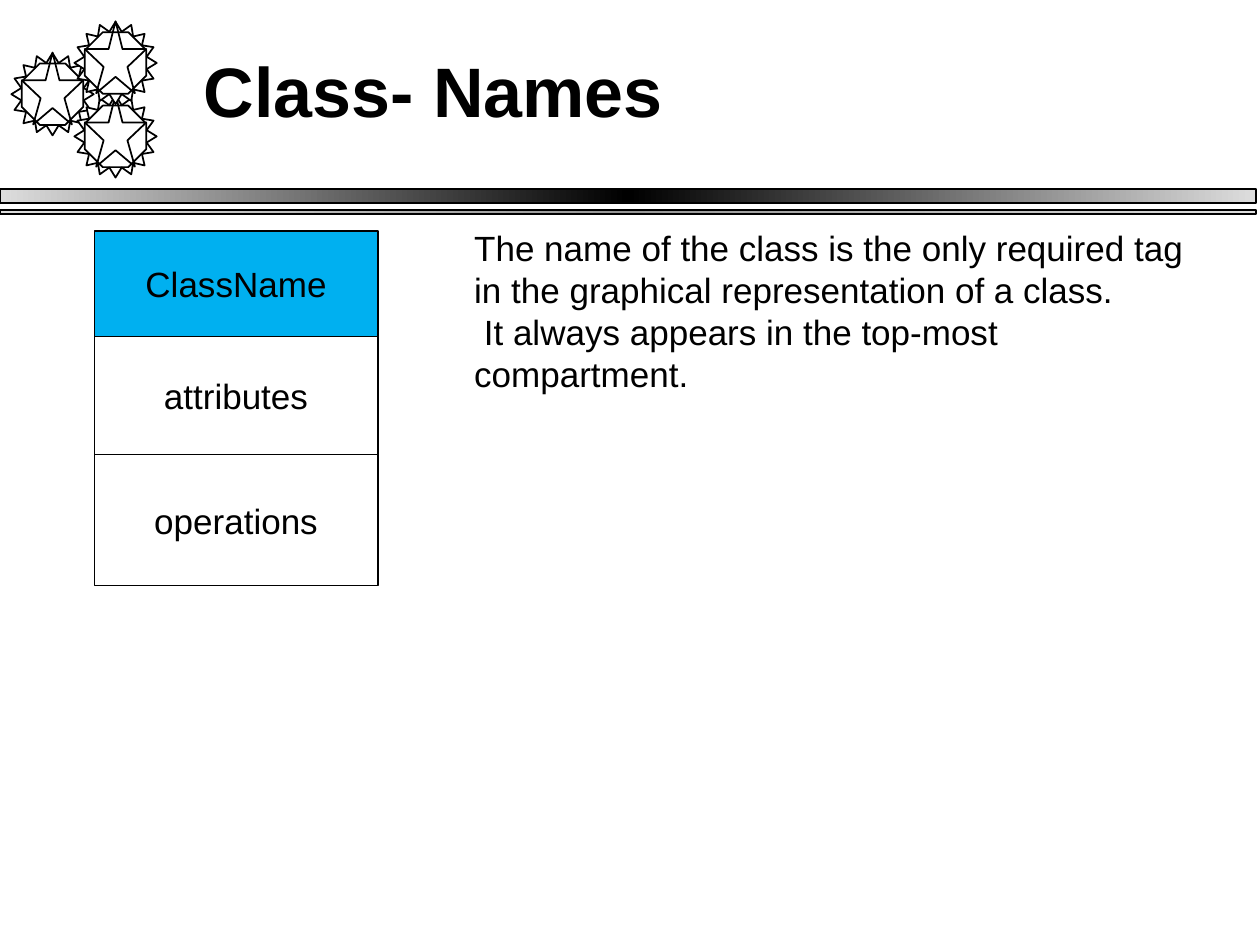
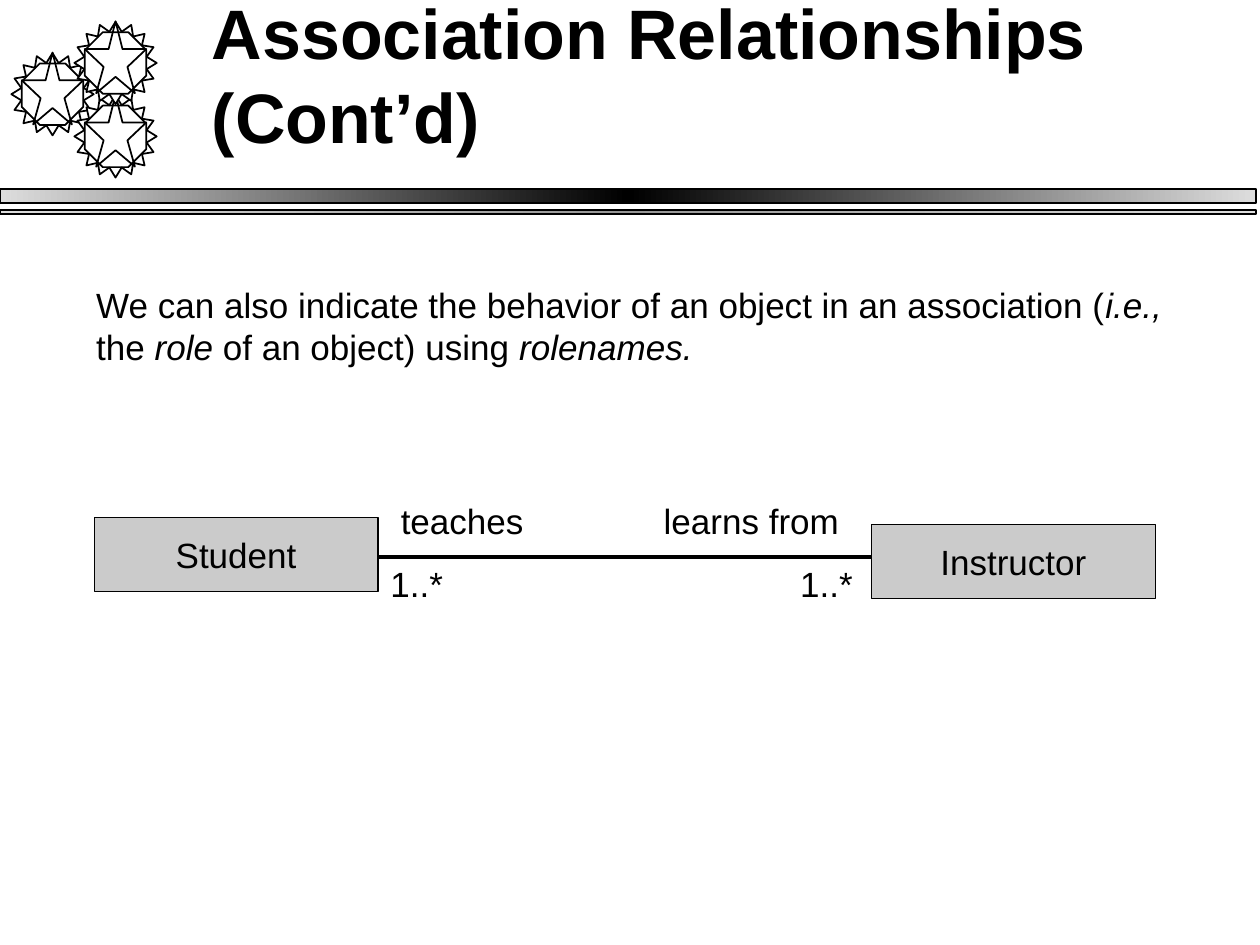
from math import cos, pi, sin

from lxml import etree
from pptx import Presentation
from pptx.dml.color import RGBColor
from pptx.enum.shapes import MSO_CONNECTOR, MSO_SHAPE
from pptx.enum.text import MSO_ANCHOR, MSO_AUTO_SIZE, PP_ALIGN
from pptx.oxml.ns import qn
from pptx.util import Cm, Pt

RECTANGLE, OCTAGON = MSO_SHAPE.RECTANGLE, MSO_SHAPE.OCTAGON
STRAIGHT = MSO_CONNECTOR.STRAIGHT
MIDDLE, TOP = MSO_ANCHOR.MIDDLE, MSO_ANCHOR.TOP
CENTER, LEFT = PP_ALIGN.CENTER, PP_ALIGN.LEFT
GROW, FIXED = MSO_AUTO_SIZE.SHAPE_TO_FIT_TEXT, MSO_AUTO_SIZE.NONE

COLORS = {
    "ink": "000000",
    "paper": "FFFFFF",
    "highlight": "00B0F0",
    "class": "CBCBCB",
    "band_end": "DDDDDD",
    "thin_band": "969696",
    "title_shadow": "DDDDDD",
}
BODY_FONT = {"name": "Arial", "size": Pt(20), "bold": False}
TITLE_FONT = {"name": "Arial", "size": Pt(40), "bold": True}
CLASS_FRAME = {"word_wrap": False, "vertical_anchor": MIDDLE}
NOTE_FRAME = {"word_wrap": True, "vertical_anchor": TOP, "auto_size": GROW}
TITLE_FRAME = {"word_wrap": True, "vertical_anchor": MIDDLE, "auto_size": FIXED}

CLASS_LEFT, CLASS_WIDTH = 1.9, 5.72
BAND_WIDTH = 25.32

# Gear geometry in cm, measured from the gear's centre
GEAR_CENTERS = [(1.06, 1.9), (2.33, 2.75), (2.33, 1.27)]
TEETH, TIP_RADIUS, ROOT_RADIUS = 16, 0.83, 0.64
OCTAGON_SIZE = 1.24
STAR_RIGHT = [(0, -0.84), (0.14, -0.28), (0.62, -0.28),
              (0.24, 0.08), (0.39, 0.61), (0, 0.28)]


def rgb(key):
    return RGBColor.from_string(COLORS[key])


def apply(target, values):
    for attribute, value in values.items():
        setattr(target, attribute, value)


def outline(shape, fill, line_width):
    """Give a shape a plain fill (or none) and a black outline."""
    shape.shadow.inherit = False
    if fill:
        shape.fill.solid()
        shape.fill.fore_color.rgb = rgb(fill)
    else:
        shape.fill.background()
    shape.line.color.rgb = rgb("ink")
    shape.line.width = Pt(line_width)


def write(shape, paragraphs, font, frame_values, align=LEFT, before=0):
    """Fill a shape with paragraphs, each a list of (text, italic) runs."""
    frame = shape.text_frame
    apply(frame, frame_values)
    for index, runs in enumerate(paragraphs):
        paragraph = frame.add_paragraph() if index else frame.paragraphs[0]
        apply(paragraph, {"alignment": align, "space_before": Pt(before)})
        for text, italic in runs:
            run = paragraph.add_run()
            run.text = text
            apply(run.font, {**font, "italic": italic})
            run.font.color.rgb = rgb("ink")


def add_band(slide, top, height, middle):
    """Full-width bar, light at both ends and darker in the middle."""
    band = slide.shapes.add_shape(RECTANGLE, 0, Cm(top), Cm(BAND_WIDTH), Cm(height))
    outline(band, None, 1)
    band.fill.gradient()
    band.fill.gradient_angle = 0
    stops = band.fill.gradient_stops
    stop_list = band._element.spPr.find(qn("a:gradFill")).find(qn("a:gsLst"))
    for stop in list(stop_list)[:len(stops)]:
        stop_list.remove(stop)
    for position, color in ((0, "band_end"), (50, middle), (100, "band_end")):
        stop = etree.SubElement(stop_list, qn("a:gs"), pos=str(position * 1000))
        etree.SubElement(stop, qn("a:srgbClr"), val=COLORS[color])


def add_outline(group, points, center):
    cx, cy = center
    corners = [(Cm(cx + x), Cm(cy + y)) for x, y in points]
    builder = group.shapes.build_freeform(*corners[0])
    builder.add_line_segments(corners[1:], close=True)
    outline(builder.convert_to_shape(), "paper", 1)


def add_gears(slide):
    """Three gears, each a toothed wheel with a star and an octagon."""
    wheel = []
    for step in range(2 * TEETH):
        radius = ROOT_RADIUS if step % 2 else TIP_RADIUS
        angle = pi * step / TEETH
        wheel.append((radius * cos(angle), radius * sin(angle)))
    star = STAR_RIGHT + [(-x, y) for x, y in STAR_RIGHT[-2:0:-1]]
    gears = slide.shapes.add_group_shape()
    for center in GEAR_CENTERS:
        add_outline(gears, wheel, center)
        add_outline(gears, star, center)
        left, top = (Cm(c - OCTAGON_SIZE / 2) for c in center)
        hub = gears.shapes.add_shape(
            OCTAGON, left, top, Cm(OCTAGON_SIZE), Cm(OCTAGON_SIZE))
        outline(hub, None, 1)


def add_title(slide, text, left, top, width, indent=0):
    title = slide.shapes.add_textbox(Cm(left), Cm(top), Cm(width), Cm(1.47))
    write(title, [[(text, False)]], TITLE_FONT, TITLE_FRAME)
    paragraph = title.text_frame.paragraphs[0]
    paragraph._p.get_or_add_pPr().set("indent", str(Cm(indent)))
    # Soft grey shadow behind the letters
    effects = etree.Element(qn("a:effectLst"))
    shadow = etree.SubElement(effects, qn("a:outerShdw"), dist="17961", dir="2700000")
    etree.SubElement(shadow, qn("a:srgbClr"), val=COLORS["title_shadow"])
    properties = paragraph.runs[0].font._element
    properties.find(qn("a:solidFill")).addnext(effects)


def add_note(slide, paragraphs, left, top, width, height, before=0):
    note = slide.shapes.add_textbox(Cm(left), Cm(top), Cm(width), Cm(height))
    write(note, paragraphs, BODY_FONT, NOTE_FRAME, before=before)


def add_class_box(parent, text, left, top, height, fill):
    box = parent.shapes.add_shape(
        RECTANGLE, Cm(left), Cm(top), Cm(CLASS_WIDTH), Cm(height))
    outline(box, fill, 0.75)
    write(box, [[(text, False)]], BODY_FONT, CLASS_FRAME, CENTER)


def add_association(slide, start, end, y):
    line = slide.shapes.add_connector(STRAIGHT, Cm(start), Cm(y), Cm(end), Cm(y))
    line.line.color.rgb = rgb("ink")
    line.line.width = Pt(2.25)
    etree.SubElement(line._element.spPr, qn("a:effectLst"))


def new_slide(deck):
    """Blank slide with the shared bands and gears."""
    slide = deck.slides.add_slide(deck.slide_layouts[6])
    slide.background.fill.solid()
    slide.background.fill.fore_color.rgb = rgb("paper")
    add_band(slide, 3.81, 0.28, "ink")
    add_band(slide, 4.24, 0.08, "thin_band")
    add_gears(slide)
    return slide


def build_class_names(deck):
    slide = new_slide(deck)
    add_title(slide, "Class- Names", 1.9, 1.07, 21.8, indent=1.96)

    # Class diagram, compartments stacked from the top
    diagram = slide.shapes.add_group_shape()
    top = 4.66
    for text, height, fill in (("ClassName", 2.12, "highlight"),
                               ("attributes", 2.38, "paper"),
                               ("operations", 2.65, "paper")):
        add_class_box(diagram, text, CLASS_LEFT, top, height, fill)
        top += height

    add_note(slide, [
        [("The name of the class is the only required tag in the graphical "
          "representation of a class. ", False)],
        [(" It always appears in the top-most compartment.", False)],
    ], 9.31, 4.45, 15.24, 3.66)


def build_association(deck):
    slide = new_slide(deck)
    add_title(slide, "Association Relationships (Cont’d)", 4.02, 0.74, 22.86)
    add_note(slide, [[
        ("We can also indicate the behavior of an object in an association (", False),
        ("i.e.,", True), (" the ", False), ("role ", True),
        ("of an object) using ", False), ("rolenames.", True),
    ]], 1.69, 5.59, 22.53, 1.96)

    # Two classes joined by an association
    add_association(slide, CLASS_LEFT + CLASS_WIDTH, 17.78, 11.22)
    add_class_box(slide, "Instructor", 17.57, 10.58, 1.48, "class")
    add_class_box(slide, "Student", CLASS_LEFT, 10.44, 1.48, "class")

    # Multiplicities below the line, role names above it
    for text, left, top, width in (("1..*", 15.88, 11.22, 1.9),
                                   ("1..*", 7.62, 11.22, 1.9),
                                   ("learns from", 13.13, 9.95, 4.45),
                                   ("teaches", 7.83, 9.95, 3.18)):
        add_note(slide, [[(text, False)]], left, top, width, 1.11, before=12.5)


def main():
    deck = Presentation()
    deck.slide_width, deck.slide_height = Cm(25.4), Cm(19.05)
    build_class_names(deck)
    build_association(deck)
    deck.save("out.pptx")


main()
